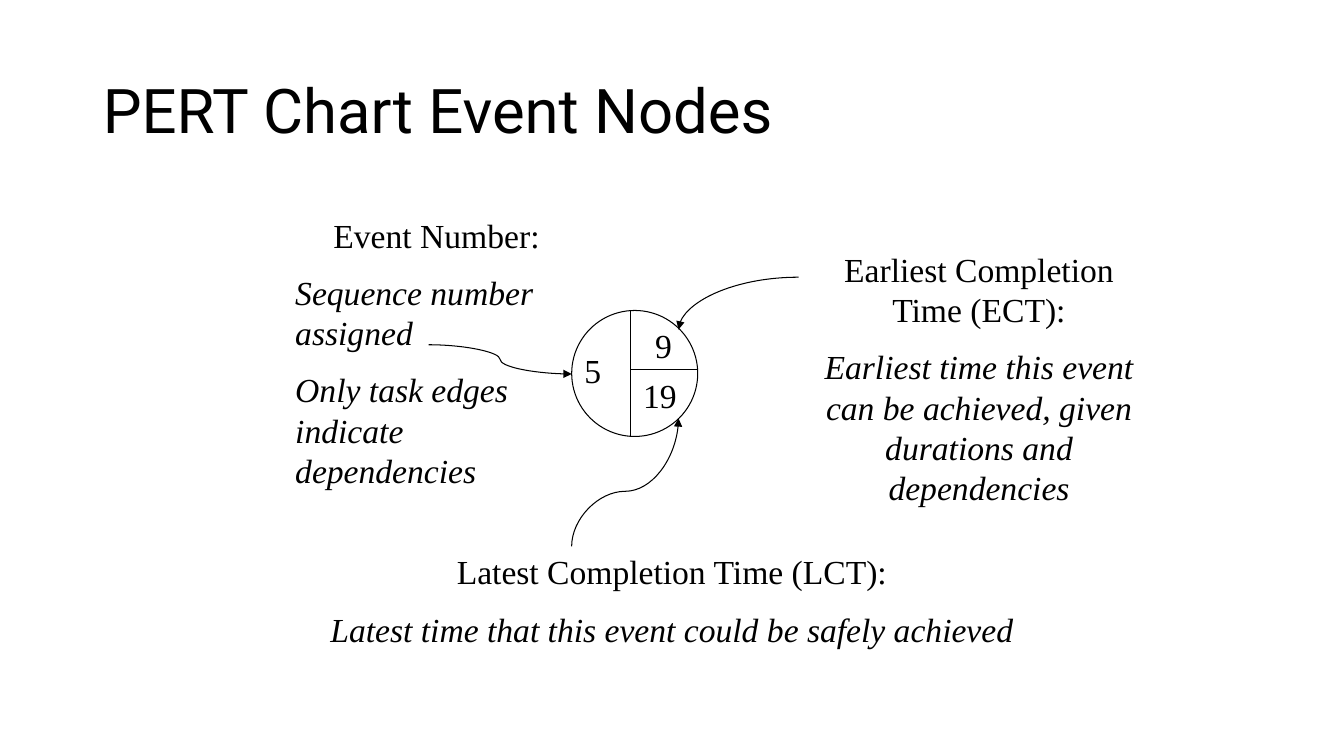
from dataclasses import dataclass

from lxml import etree
from pptx import Presentation
from pptx import util as u
from pptx.dml.color import RGBColor
from pptx.enum import shapes, text
from pptx.oxml import ns

# Content: boxes are left, top, width, height in inches
TITLE = "PERT Chart Event Nodes"
TITLE_BOX = (0.92, 0.4, 11.5, 1.45)
CENTER, LEFT = text.PP_ALIGN.CENTER, text.PP_ALIGN.LEFT

NODE_BOX = (5.67, 3.08, 1.25, 1.25)
NODE_SPLIT = (6.25, 3.67)
NODE_VALUES = [
    ("5", (5.67, 3.42, 0.42, 0.5)),
    ("9", (6.33, 3.17, 0.5, 0.5)),
    ("19", (6.17, 3.67, 0.75, 0.5)),
]
# Each note: heading, explanations, their alignment, box
NOTES = [
    ("Event Number:",
     ["Sequence number assigned", "Only task edges indicate dependencies"],
     LEFT, (2.83, 2.08, 3, 2.93)),
    ("Earliest Completion Time (ECT):",
     ["Earliest time this event can be achieved, given durations and dependencies"],
     CENTER, (8, 2.42, 3.42, 2.73)),
    ("Latest Completion Time (LCT):",
     ["Latest time that this event could be safely achieved"],
     CENTER, (2.75, 5.42, 7.83, 1.11)),
]
# Each arrow: start, end, preset, bend position, whether it leaves vertically
ARROWS = [
    ((4.25, 3.42), (5.67, 3.71), "curvedConnector3", 0.5, False),
    ((7.92, 2.75), (6.73, 3.27), "curvedConnector2", None, False),
    ((5.67, 5.42), (6.73, 4.15), "curvedConnector3", 0.43, True),
]


@dataclass(frozen=True)
class Theme:
    ink: RGBColor = RGBColor(0, 0, 0)
    paper: RGBColor = RGBColor(255, 255, 255)
    title_font: str = "Roboto"
    body_font: str = "Times New Roman"
    title_size: int = 44
    body_size: int = 24
    gap: int = 12
    line: float = 0.75


THEME = Theme()


def inches(values):
    return [u.Inches(value) for value in values]


def add_span(para, words, font, size, italic=False):
    span = para.add_run()
    span.text = words
    span.font.name, span.font.size = font, u.Pt(size)
    span.font.italic = italic
    span.font.color.rgb = THEME.ink


def add_text(page, lines, box):
    """Lines are (words, alignment, italic), one paragraph each."""
    frame = page.shapes.add_textbox(*inches(box)).text_frame
    frame.word_wrap = True
    for index, (words, align, italic) in enumerate(lines):
        para = frame.add_paragraph() if index else frame.paragraphs[0]
        para.alignment = align
        if index:
            para.space_before = u.Pt(THEME.gap)
        add_span(para, words, THEME.body_font, THEME.body_size, italic)


def set_line(shape):
    shape.line.color.rgb = THEME.ink
    shape.line.width = u.Pt(THEME.line)


def add_line(parent, start, end, kind=shapes.MSO_CONNECTOR.STRAIGHT):
    line = parent.shapes.add_connector(kind, *inches(start + end))
    set_line(line)
    etree.SubElement(line._element.spPr, ns.qn("a:effectLst"))
    return line


def add_arrow(page, start, end, preset, bend, vertical):
    if vertical:
        # A quarter turn about the centre swaps the width and height
        mid_x, mid_y = (start[0] + end[0]) / 2, (start[1] + end[1]) / 2
        half_w, half_h = abs(end[1] - start[1]) / 2, abs(end[0] - start[0]) / 2
        start, end = (mid_x - half_w, mid_y - half_h), (mid_x + half_w, mid_y + half_h)
    arrow = add_line(page, start, end, shapes.MSO_CONNECTOR.CURVE)
    props = arrow._element.spPr
    if vertical:
        props.find(ns.qn("a:xfrm")).set("rot", str(270 * 60000))
    geometry = props.find(ns.qn("a:prstGeom"))
    geometry.set("prst", preset)
    if bend is not None:
        guides = geometry.find(ns.qn("a:avLst"))
        etree.SubElement(guides, ns.qn("a:gd"), name="adj1", fmla=f"val {round(bend * 100000)}")
    etree.SubElement(props.find(ns.qn("a:ln")), ns.qn("a:tailEnd"), type="triangle")


def add_node(page):
    left, top, width, height = NODE_BOX
    split_x, split_y = NODE_SPLIT
    group = page.shapes.add_group_shape()
    circle = group.shapes.add_shape(shapes.MSO_SHAPE.OVAL, *inches(NODE_BOX))
    circle.shadow.inherit = False
    circle.fill.solid()
    circle.fill.fore_color.rgb = THEME.paper
    set_line(circle)
    add_line(group, (split_x, top), (split_x, top + height))
    add_line(group, (split_x, split_y), (left + width, split_y))
    for value, box in NODE_VALUES:
        add_text(page, [(value, CENTER, False)], box)


def add_title(page):
    title = page.shapes.title
    title.left, title.top, title.width, title.height = inches(TITLE_BOX)
    title.text_frame.vertical_anchor = text.MSO_ANCHOR.MIDDLE
    para = title.text_frame.paragraphs[0]
    para.alignment, para.line_spacing = LEFT, 0.9
    add_span(para, TITLE, THEME.title_font, THEME.title_size)


def main():
    deck = Presentation()
    deck.slide_width, deck.slide_height = inches((13.33, 7.5))
    page = deck.slides.add_slide(deck.slide_layouts[5])
    add_title(page)
    add_node(page)
    # Notes around the node, with the arrows that tie them to it
    for heading, details, align, box in NOTES:
        lines = [(heading, CENTER, False)] + [(words, align, True) for words in details]
        add_text(page, lines, box)
    for arrow in ARROWS:
        add_arrow(page, *arrow)
    deck.save("out.pptx")


if __name__ == "__main__":
    main()
